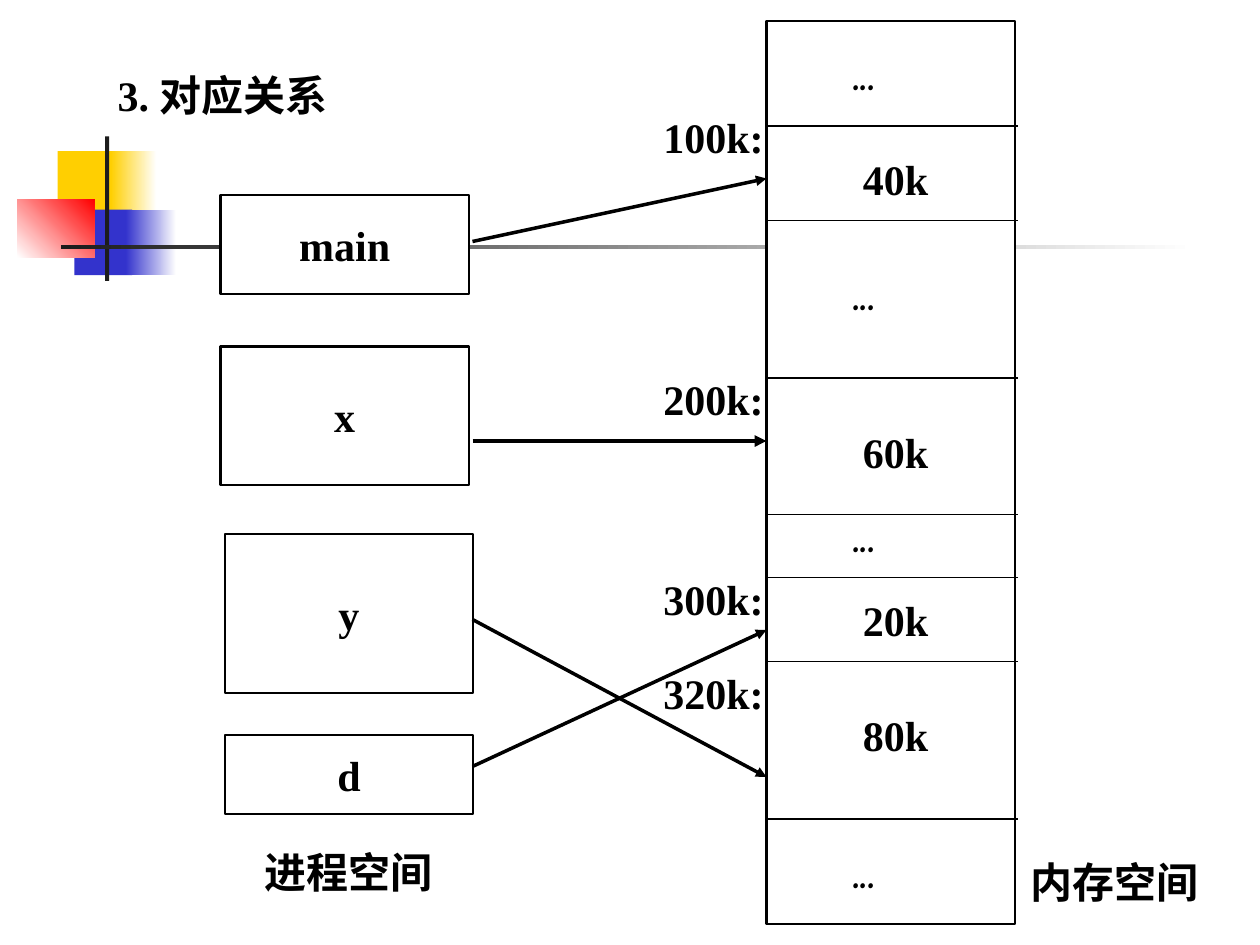
import pptx
import pptx.dml.color
import pptx.enum.shapes
import pptx.enum.text
import pptx.oxml
import pptx.oxml.ns
import pptx.util

Pt = pptx.util.Pt
RGBColor = pptx.dml.color.RGBColor
RECT = pptx.enum.shapes.MSO_SHAPE.RECTANGLE
STRAIGHT = pptx.enum.shapes.MSO_CONNECTOR.STRAIGHT
ANCHOR = pptx.enum.text.MSO_ANCHOR
ALIGN = pptx.enum.text.PP_ALIGN

BLACK = RGBColor(0x00, 0x00, 0x00)
WHITE = RGBColor(0xFF, 0xFF, 0xFF)
YELLOW = RGBColor(0xFF, 0xCF, 0x01)
BLUE = RGBColor(0x33, 0x33, 0xCC)
RED = RGBColor(0xFF, 0x00, 0x00)
DARK = RGBColor(0x1C, 0x1C, 0x1C)

SERIF = "Times New Roman"
DOTS_FONT = "Comic Neue"
TEXT_SIZE = 24
LABEL_H = 36

TITLE = "3. 对应关系"
DECORATIONS = [
    ((33, 86.4, 34.5, 37.4), [YELLOW], 0),
    ((63.4, 86.4, 26, 37.4), [YELLOW, WHITE], 0),
    ((42.5, 119.8, 33, 37.4), [BLUE], 0),
    ((72, 119.8, 28.8, 37.4), [BLUE, WHITE], 0),
    ((10, 113.8, 44, 33.4), [WHITE, RED], 45),
    ((60, 78, 2.4, 82.6), [DARK], 0),
    ((34.8, 140, 648, 2.6), [DARK, WHITE], 0),
]
MEMORY = (438, 12, 142, 516)
DIVIDERS = [72, 126, 216, 294, 330, 378, 468]
DIVIDER_W = 144
PROCESS_BOXES = [
    ("main", 126, 111.5, 56.5),
    ("x", 126, 198, 79),
    ("y", 128.4, 305.2, 90.7),
    ("d", 128.4, 420, 45.3),
]
PROCESS_W = 142
ARROW_START = 270
ARROWS = [(138, 102, 2), (252, 252, 2.25), (438, 360, 2), (354, 444, 2)]
LABEL_COLUMNS = [
    (486, 78, SERIF, [("40k", 84), ("60k", 240), ("20k", 336), ("80k", 402)]),
    (480, 60, DOTS_FONT, [("...", 24), ("...", 150), ("...", 288), ("...", 480)]),
    (372, 78, SERIF, [("100k:", 60), ("200k:", 210), ("300k:", 324), ("320k:", 378)]),
    (144, 114, SERIF, [("进程空间", 480)]),
    (582, 114, SERIF, [("内存空间", 486)]),
]


def write(s, text, font=SERIF, align=ALIGN.LEFT, anchor=ANCHOR.TOP, wrap=True):
    tf = s.text_frame
    tf.text = text
    tf.word_wrap = wrap
    tf.vertical_anchor = anchor
    p = tf.paragraphs[0]
    p.alignment = align
    r = p.runs[0]
    r.font.name = font
    r.font.size = Pt(TEXT_SIZE)
    r.font.bold = True
    r.font.color.rgb = BLACK


def add_rect(sp, box, colors, angle=0, line=None):
    s = sp.add_shape(RECT, *map(Pt, box))
    s.shadow.inherit = False
    if len(colors) == 1:
        s.fill.solid()
        s.fill.fore_color.rgb = colors[0]
    else:
        s.fill.gradient()
        s.fill.gradient_angle = angle
        for stop, color in zip(s.fill.gradient_stops, colors):
            stop.color.rgb = color
    if line:
        s.line.color.rgb = BLACK
        s.line.width = Pt(line)
    else:
        s.line.fill.background()
    return s


def add_line(sp, x1, y1, x2, y2, width, arrow=False):
    s = sp.add_connector(STRAIGHT, Pt(x1), Pt(y1), Pt(x2), Pt(y2))
    s.line.color.rgb = BLACK
    s.line.width = Pt(width)
    if arrow:
        tail = pptx.oxml.parse_xml(
            f'<a:tailEnd {pptx.oxml.ns.nsdecls("a")} type="triangle"/>')
        s.line._get_or_add_ln().append(tail)
    s._element.spPr.append(
        pptx.oxml.parse_xml(f'<a:effectLst {pptx.oxml.ns.nsdecls("a")}/>'))


def main():
    prs = pptx.Presentation()
    prs.slide_width, prs.slide_height = Pt(720), Pt(540)
    slide = prs.slides.add_slide(prs.slide_layouts[5])
    sp = slide.shapes

    title = sp.title
    title.left, title.top, title.width, title.height = map(Pt, (60, 36, 312, LABEL_H))
    write(title, TITLE)

    for box, colors, angle in DECORATIONS:
        add_rect(sp, box, colors, angle)

    add_rect(sp, MEMORY, [WHITE], line=1.25)
    for text, x, y, h in PROCESS_BOXES:
        s = add_rect(sp, (x, y, PROCESS_W, h), [WHITE], line=1.25)
        write(s, text, align=ALIGN.CENTER, anchor=ANCHOR.MIDDLE, wrap=False)

    left = MEMORY[0]
    for y in DIVIDERS:
        add_line(sp, left, y, left + DIVIDER_W, y, 0.75)
    for y1, y2, width in ARROWS:
        add_line(sp, ARROW_START, y1, left, y2, width, arrow=True)

    for x, w, font, labels in LABEL_COLUMNS:
        for text, y in labels:
            write(sp.add_textbox(Pt(x), Pt(y), Pt(w), Pt(LABEL_H)), text, font)

    prs.save("out.pptx")


if __name__ == "__main__":
    main()
